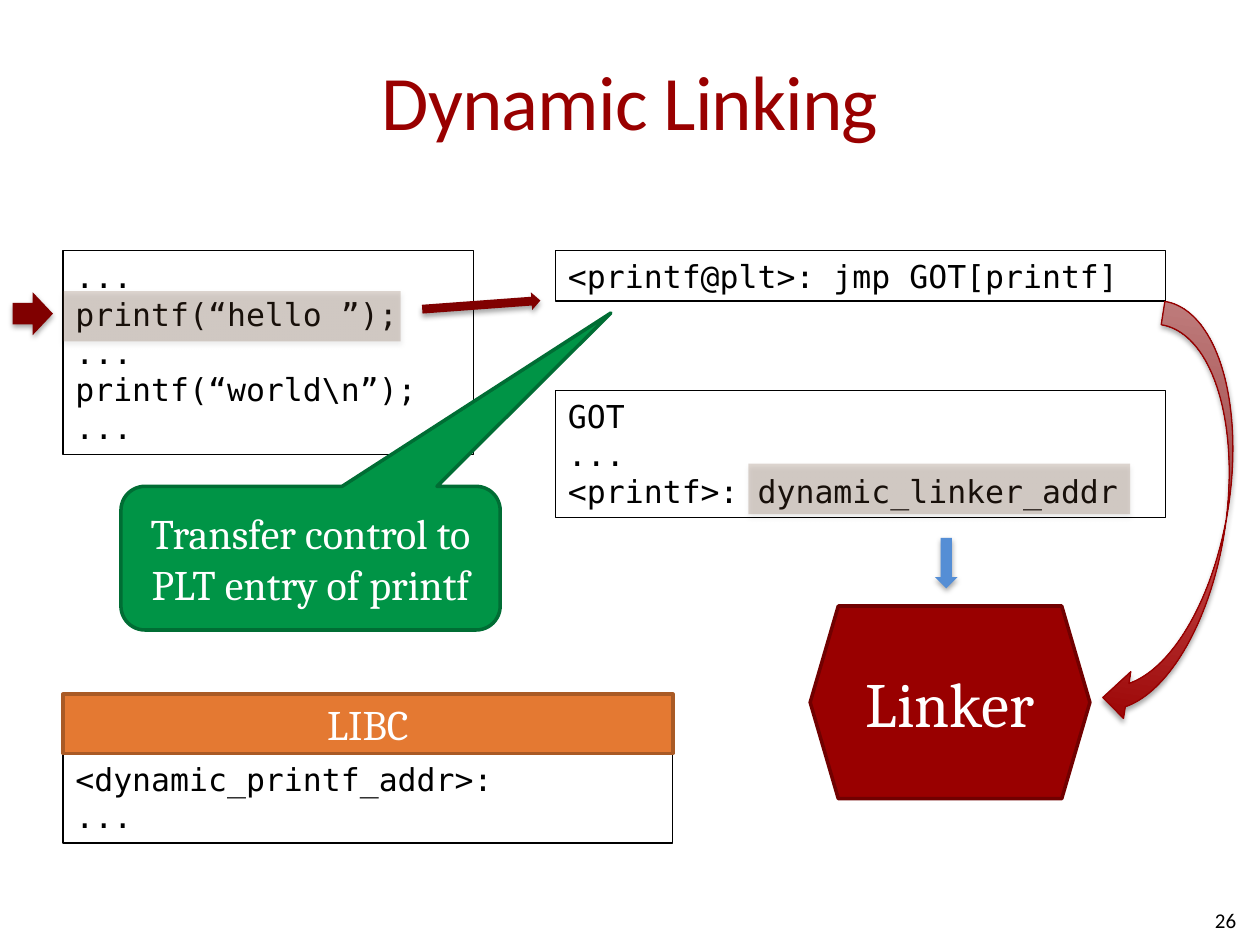
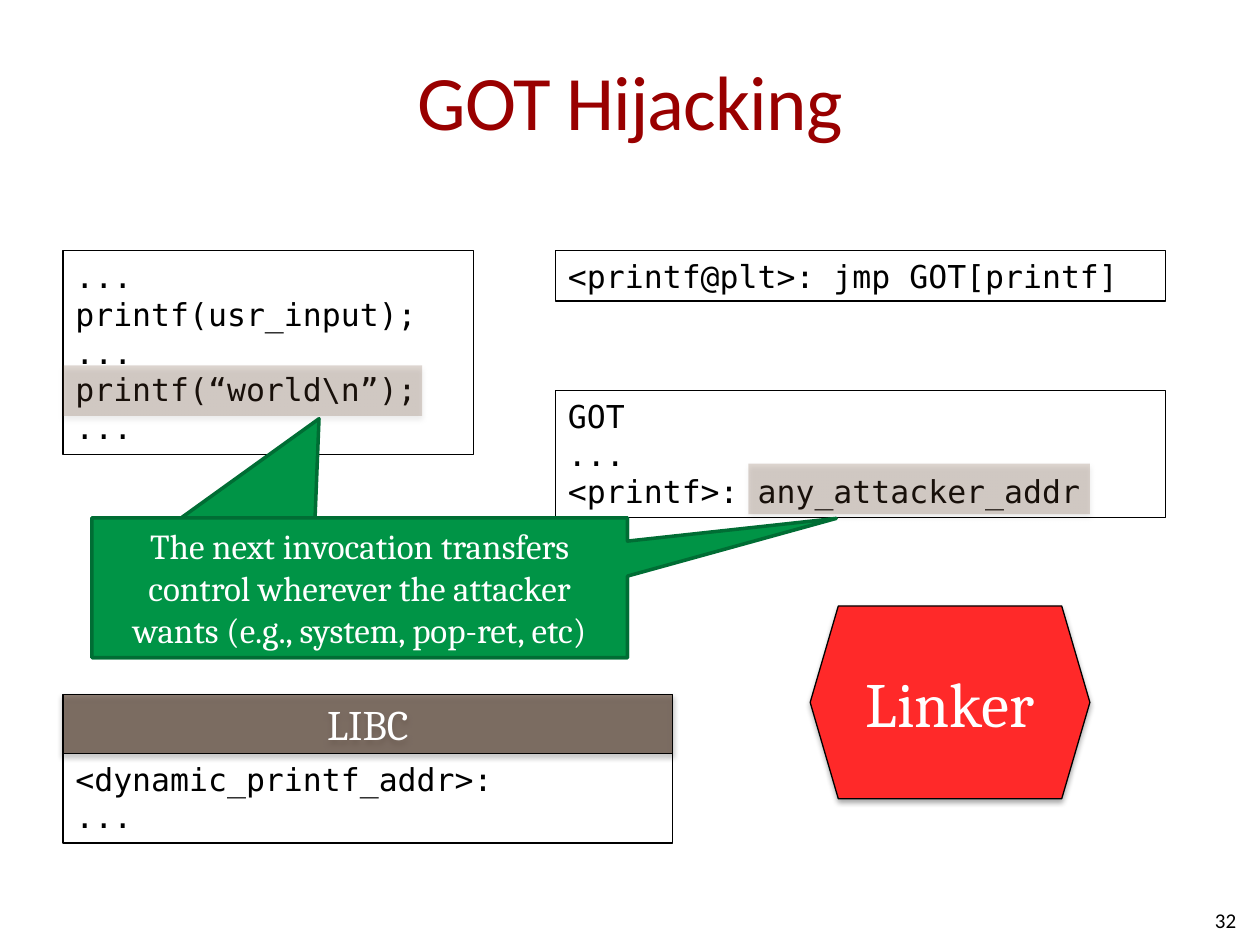
from dataclasses import dataclass

from lxml.etree import SubElement
from pptx import Presentation
from pptx.dml.color import RGBColor
from pptx.enum.shapes import MSO_SHAPE
from pptx.enum.text import MSO_ANCHOR, PP_ALIGN
from pptx.oxml.ns import qn
from pptx.shapes.autoshape import Shape
from pptx.slide import Slide
from pptx.util import Inches, Pt

WIDTH, HEIGHT = Inches(10), Inches(7.5)

BLACK, WHITE, DARK_RED = "000000", "FFFFFF", "990000"
ARROW_RED, ARROW_BLUE = "800000", "558ED5"
GREEN, GREEN_EDGE = "009446", "006D34"
HIGHLIGHT = "6E4A31"


@dataclass(frozen=True)
class Area:
    """Left, top, width and height in percent of the slide."""
    x: float
    y: float
    w: float
    h: float

    def emu(self) -> tuple[int, int, int, int]:
        return (int(WIDTH * self.x / 100), int(HEIGHT * self.y / 100),
                int(WIDTH * self.w / 100), int(HEIGHT * self.h / 100))


@dataclass(frozen=True)
class Font:
    name: str
    size: float
    color: str
    align: PP_ALIGN = PP_ALIGN.CENTER
    spacing: int = 0


@dataclass(frozen=True)
class Look:
    fill: str | None = None
    alpha: int = 100
    line: str | None = None
    weight: float = 0.75
    shadow: bool = False


@dataclass(frozen=True)
class Figure:
    kind: MSO_SHAPE
    area: Area
    look: Look
    text: str = ""
    size: float = 24
    adjust: tuple[float, ...] = ()
    rotation: float = 0


@dataclass(frozen=True)
class Page:
    title: str
    number: str
    code: str
    target: str
    libc: Look
    linker: Look
    figures: tuple[Figure, ...]


TITLE_FONT = Font("Calibri", 44, DARK_RED, spacing=-50)
NUMBER_FONT = Font("Calibri", 12, BLACK, PP_ALIGN.RIGHT)
CODE_FONT = Font("DejaVu Sans Mono", 18, BLACK, PP_ALIGN.LEFT)

# Shared columns and rows, in percent of the slide
LEFT, RIGHT = 5, 44.1
WIDE = 48.4
TOP_ROW, LINE_H = 26.53, 5.33
LIBC_Y, LIBC_H = 73.47, 6.27

TITLE_AREA = Area(LEFT, 2.27, 90, 16.67)
NUMBER_AREA = Area(75.8, 94.67, 23.3, LINE_H)
CODE_AREA = Area(LEFT, TOP_ROW, 32.6, 21.6)
PLT_AREA = Area(RIGHT, TOP_ROW, WIDE, LINE_H)
GOT_AREA = Area(RIGHT, 41.33, WIDE, 13.47)
LIBC_AREA = Area(LEFT, LIBC_Y, WIDE, LIBC_H)
LIBC_BODY = Area(LEFT, LIBC_Y + LIBC_H, WIDE, 9.47)
LINKER_AREA = Area(64.3, 64.13, 22.2, 20.4)
NOTE_AREA = Area(7.3, 54.8, 42.5, 14.8)

OUTLINE = Look(line=BLACK)
MARKER = Look(HIGHLIGHT, alpha=22, shadow=True)
CALLOUT = Look(GREEN, line=GREEN_EDGE, weight=2)
RED_ARROW = Look(ARROW_RED, shadow=True)


def rgb(color: str) -> RGBColor:
    return RGBColor.from_string(color)


def write(s: Shape, text: str, font: Font, anchor: MSO_ANCHOR) -> None:
    tf = s.text_frame
    tf.word_wrap = True
    tf.vertical_anchor = anchor
    for i, line in enumerate(text.split("\n")):
        p = tf.paragraphs[0] if i == 0 else tf.add_paragraph()
        p.alignment = font.align
        r = p.add_run()
        r.text = line
        r.font.name = font.name
        r.font.size = Pt(font.size)
        r.font.color.rgb = rgb(font.color)
        if font.spacing:
            r.font._element.set("spc", str(font.spacing))


def add_label(sp: Slide, area: Area, text: str, font: Font) -> Shape:
    s = sp.shapes.add_textbox(*area.emu())
    write(s, text, font, MSO_ANCHOR.MIDDLE)
    return s


def add_shadow(s: Shape) -> None:
    effects = s._element.spPr.find(qn("a:effectLst"))
    outer = SubElement(effects, qn("a:outerShdw"), blurRad=str(Pt(3.1)),
                       dist=str(Pt(1.8)), dir="5400000", rotWithShape="0")
    color = SubElement(outer, qn("a:srgbClr"), val=BLACK)
    SubElement(color, qn("a:alpha"), val="35000")


def apply_look(s: Shape, look: Look) -> None:
    s.shadow.inherit = False
    if look.shadow:
        add_shadow(s)
    if look.fill:
        s.fill.solid()
        s.fill.fore_color.rgb = rgb(look.fill)
        if look.alpha < 100:
            color = s._element.spPr.find(qn("a:solidFill")).find(qn("a:srgbClr"))
            SubElement(color, qn("a:alpha"), val=str(look.alpha * 1000))
    else:
        s.fill.background()
    if look.line:
        s.line.color.rgb = rgb(look.line)
        s.line.width = Pt(look.weight)
    else:
        s.line.fill.background()


def add_figure(sp: Slide, figure: Figure) -> Shape:
    s = sp.shapes.add_shape(figure.kind, *figure.area.emu())
    for i, value in enumerate(figure.adjust):
        s.adjustments[i] = value
    s.rotation = figure.rotation
    apply_look(s, figure.look)
    if figure.text:
        write(s, figure.text, Font("Cambria", figure.size, WHITE), MSO_ANCHOR.MIDDLE)
    return s


def add_code(sp: Slide, area: Area, text: str) -> None:
    s = add_figure(sp, Figure(MSO_SHAPE.RECTANGLE, area, OUTLINE))
    write(s, text, CODE_FONT, MSO_ANCHOR.TOP)


def marker(x: float, y: float, w: float) -> Figure:
    """Translucent highlight over one line of code."""
    return Figure(MSO_SHAPE.RECTANGLE, Area(x, y, w, LINE_H), MARKER)


def add_page(prs: Presentation, page: Page) -> Slide:
    sp = prs.slides.add_slide(prs.slide_layouts[6])
    title = add_label(sp, TITLE_AREA, page.title, TITLE_FONT)
    title.text_frame.margin_left = title.text_frame.margin_right = 0
    add_code(sp, CODE_AREA, page.code)
    add_code(sp, PLT_AREA, "<printf@plt>: jmp GOT[printf]")
    add_code(sp, GOT_AREA, f"GOT\n...\n<printf>: {page.target}")
    add_code(sp, LIBC_BODY, "<dynamic_printf_addr>:\n...")
    add_figure(sp, Figure(MSO_SHAPE.RECTANGLE, LIBC_AREA, page.libc, "LIBC"))
    add_figure(sp, Figure(MSO_SHAPE.HEXAGON, LINKER_AREA, page.linker, "Linker", 36,
                          (0.146,)))
    for figure in page.figures:
        add_figure(sp, figure)
    add_label(sp, NUMBER_AREA, page.number, NUMBER_FONT)
    return sp


def add_return_arrow(sp: Slide) -> None:
    """Curved, fading arrow from the PLT entry to the linker."""
    s = add_figure(sp, Figure(MSO_SHAPE.CURVED_LEFT_ARROW, Area(89.8, 32.4, 7.5, 44.93),
                              Look(line="960000", shadow=True), rotation=8.9))
    s.fill.gradient()
    s.fill.gradient_angle = 90
    for stop, color in zip(s.fill.gradient_stops, (DARK_RED, "F19F9F")):
        stop.color.rgb = rgb(color)


LINKING = Page(
    title="Dynamic Linking",
    number="26",
    code="...\nprintf(“hello ”);\n...\nprintf(“world\\n”);\n...",
    target="dynamic_linker_addr",
    libc=Look("E47932", line="A95A25", weight=2),
    linker=Look(DARK_RED, line="710000", weight=2),
    figures=(
        marker(LEFT, 30.8, 26.8),
        Figure(MSO_SHAPE.RIGHT_ARROW, Area(1, 30.93, 3.2, 4.53), RED_ARROW),
        Figure(MSO_SHAPE.RIGHT_ARROW, Area(33.5, 31.33, 9.4, 1.87), RED_ARROW,
               rotation=355.8),
        Figure(MSO_SHAPE.ROUNDED_RECTANGULAR_CALLOUT, Area(9.6, 51.47, 30.1, 15.2),
               CALLOUT, "Transfer control to PLT entry of printf",
               adjust=(0.792, -1.707, 0.167)),
        marker(59.4, 49.07, 30.3),
        Figure(MSO_SHAPE.RIGHT_ARROW, Area(73.1, 58.4, 4, 2.4),
               Look(ARROW_BLUE, shadow=True), rotation=90),
    ),
)

HIJACKING = Page(
    title="GOT Hijacking",
    number="32",
    code="...\nprintf(usr_input);\n...\nprintf(“world\\n”);\n...",
    target="any_attacker_addr",
    libc=Look("4A3120", alpha=61, line=BLACK, shadow=True),
    linker=Look("FF2929", line=BLACK, shadow=True),
    figures=(
        marker(LEFT, 38.67, 28.5),
        marker(59.4, 49.07, 27.1),
        Figure(MSO_SHAPE.RECTANGULAR_CALLOUT, NOTE_AREA, CALLOUT,
               adjust=(-0.076, -1.209)),
        Figure(MSO_SHAPE.RECTANGULAR_CALLOUT, NOTE_AREA, CALLOUT,
               "The next invocation transfers control wherever the attacker wants "
               "(e.g., system, pop-ret, etc)", 20, (0.89, -0.496)),
    ),
)


def main() -> None:
    prs = Presentation()
    prs.slide_width, prs.slide_height = WIDTH, HEIGHT
    add_return_arrow(add_page(prs, LINKING))
    add_page(prs, HIJACKING)
    prs.save("out.pptx")


if __name__ == "__main__":
    main()
